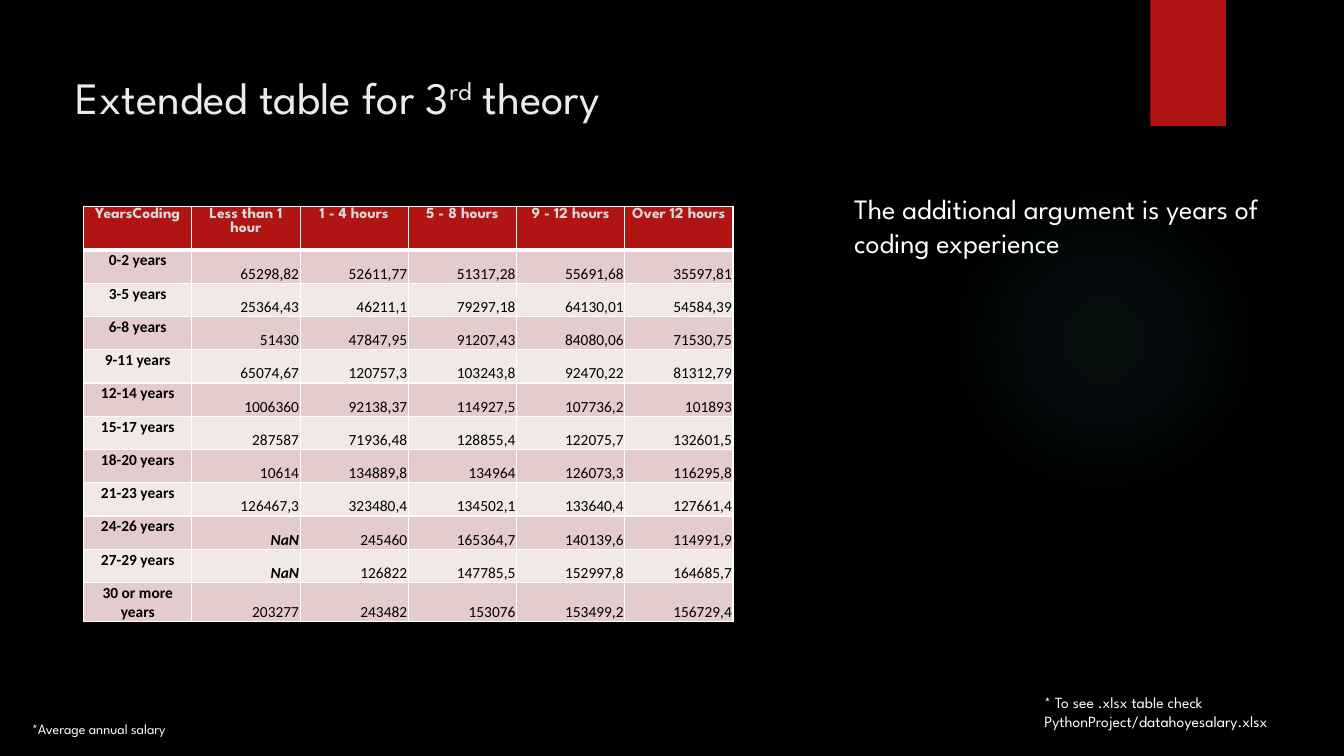
from lxml.etree import SubElement
from pptx import Presentation
from pptx.dml.color import RGBColor
from pptx.enum.shapes import MSO_SHAPE
from pptx.enum.text import MSO_ANCHOR, PP_ALIGN
from pptx.oxml import parse_xml
from pptx.oxml.ns import nsdecls, qn
from pptx.util import Inches, Pt

SPARTAN = "League Spartan"
HEADER = ["YearsCoding", "Less than 1 hour", "1 - 4 hours", "5 - 8 hours", "9 - 12 hours", "Over 12 hours"]
SALARIES = [
    ["0-2 years", "65298,82", "52611,77", "51317,28", "55691,68", "35597,81"],
    ["3-5 years", "25364,43", "46211,1", "79297,18", "64130,01", "54584,39"],
    ["6-8 years", "51430", "47847,95", "91207,43", "84080,06", "71530,75"],
    ["9-11 years", "65074,67", "120757,3", "103243,8", "92470,22", "81312,79"],
    ["12-14 years", "1006360", "92138,37", "114927,5", "107736,2", "101893"],
    ["15-17 years", "287587", "71936,48", "128855,4", "122075,7", "132601,5"],
    ["18-20 years", "10614", "134889,8", "134964", "126073,3", "116295,8"],
    ["21-23 years", "126467,3", "323480,4", "134502,1", "133640,4", "127661,4"],
    ["24-26 years", "NaN", "245460", "165364,7", "140139,6", "114991,9"],
    ["27-29 years", "NaN", "126822", "147785,5", "152997,8", "164685,7"],
    ["30 or more years", "203277", "243482", "153076", "153499,2", "156729,4"],
]


def rgb(color):
    return RGBColor.from_string(color)


def style(r, size, color, font=SPARTAN, bold=False, italic=False):
    r.font.size = Pt(size)
    r.font.name = font
    r.font.bold = bold
    r.font.italic = italic
    r.font.color.rgb = rgb(color)


prs = Presentation()
prs.slide_width, prs.slide_height = Inches(13.33), Inches(7.5)
s = prs.slides.add_slide(prs.slide_layouts[1])
s.background.fill.solid()
s.background.fill.fore_color.rgb = rgb("000000")

glow = s.shapes.add_shape(MSO_SHAPE.OVAL, Inches(9.41), Inches(1.83), Inches(3.08), Inches(3.08))
glow.shadow.inherit = False
glow.line.fill.background()
stops = "".join(
    f'<a:gs pos="{pos}000"><a:srgbClr val="50B9C1"><a:alpha val="{alpha}000"/></a:srgbClr></a:gs>'
    for pos, alpha in [(0, 7), (36, 6), (69, 0)]
)
glow_fill = parse_xml(
    f'<a:gradFill {nsdecls("a")} rotWithShape="1"><a:gsLst>{stops}</a:gsLst>'
    '<a:path path="circle"><a:fillToRect l="50000" t="50000" r="50000" b="50000"/></a:path></a:gradFill>'
)
glow.element.spPr.find(qn("a:prstGeom")).addnext(glow_fill)

ribbon = s.shapes.add_shape(MSO_SHAPE.RECTANGLE, Inches(11.41), 0, Inches(0.75), Inches(1.25))
ribbon.shadow.inherit = False
ribbon.fill.solid()
ribbon.fill.fore_color.rgb = rgb("B01513")
ribbon.line.fill.background()
for i, sp in enumerate([glow, ribbon]):
    s.shapes.element.insert(2 + i, sp.element)

title = s.shapes.title
title.left, title.top, title.width, title.height = Inches(0.65), Inches(0.51), Inches(10.71), Inches(0.89)
tf = title.text_frame
tf.vertical_anchor = MSO_ANCHOR.MIDDLE
p = tf.paragraphs[0]
p.alignment = PP_ALIGN.LEFT
for text in ["Extended table for 3", "rd", " theory"]:
    r = p.add_run()
    r.text = text
    style(r, 32, "EBEBEB")
p.runs[1].font._element.set("baseline", "30000")

rows = [HEADER] + SALARIES
frame = s.shapes.add_table(len(rows), len(HEADER), Inches(0.83), Inches(2.05), Inches(6.44), Inches(4.06))
table = frame.table
for col in table.columns:
    col.width = Inches(6.44 / len(HEADER))
for i, values in enumerate(rows):
    table.rows[i].height = Inches(0.33 if i else 0.43)
    for j, value in enumerate(values):
        cell = table.cell(i, j)
        cell.text = value
        cell.margin_left = cell.margin_top = cell.margin_right = Inches(0.01)
        cell.margin_bottom = 0
        p = cell.text_frame.paragraphs[0]
        is_number = i > 0 and j > 0
        p.alignment = PP_ALIGN.RIGHT if is_number else PP_ALIGN.CENTER
        cell.vertical_anchor = MSO_ANCHOR.BOTTOM if is_number else MSO_ANCHOR.TOP
        if i == 0:
            fill = "B01513"
            style(p.runs[0], 11, "D9D9D9", bold=True)
        else:
            fill = "E4CCCC" if i % 2 else "F2E8E7"
            missing = value == "NaN"
            style(p.runs[0], 11, "000000", "Calibri", bold=j == 0 or missing, italic=missing)
        tcPr = cell._tc.get_or_add_tcPr()
        for side in ["lnL", "lnR", "lnT", "lnB"]:
            thick = (i == 0 and side == "lnB") or (i == 1 and side == "lnT")
            ln = SubElement(tcPr, qn(f"a:{side}"), w=str(Pt(3 if thick else 1)))
            SubElement(SubElement(ln, qn("a:solidFill")), qn("a:srgbClr"), val="FFFFFF")
        cell.fill.solid()
        cell.fill.fore_color.rgb = rgb(fill)

body = s.placeholders[1]
body.left, body.top, body.width, body.height = Inches(8.37), Inches(1.85), Inches(4.9), Inches(0.89)
salary_note = s.shapes.add_textbox(Inches(0.22), Inches(7.1), Inches(2.53), Inches(0.31))
file_note = s.shapes.add_textbox(Inches(10.26), Inches(6.83), Inches(2.96), Inches(0.54))
for sp, text, size in [
    (body, "The additional argument is years of coding experience", 20),
    (salary_note, "*Average annual salary", 10),
    (file_note, "* To see .xlsx table check PythonProject/datahoyesalary.xlsx", 11.1),
]:
    tf = sp.text_frame
    tf.word_wrap = True
    tf.text = text
    p = tf.paragraphs[0]
    p.space_before = Pt(10)
    pPr = p._p.get_or_add_pPr()
    pPr.set("marL", "0")
    pPr.set("indent", "0")
    SubElement(pPr, qn("a:buNone"))
    style(p.runs[0], size, "FFFFFF")

prs.save("out.pptx")
